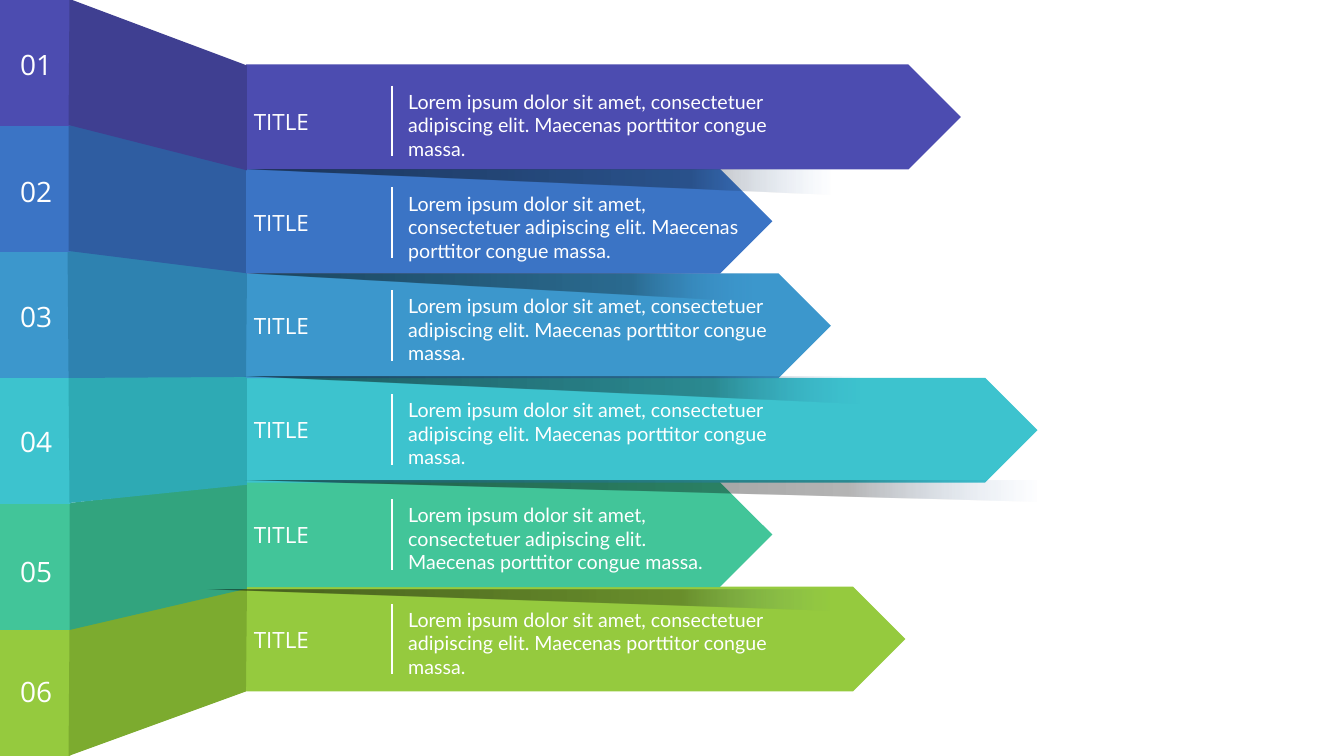
from collections import namedtuple
from dataclasses import dataclass

from lxml import etree
from pptx import Presentation
from pptx.dml.color import RGBColor
from pptx.enum.shapes import MSO_CONNECTOR, MSO_SHAPE
from pptx.enum.text import MSO_AUTO_SIZE
from pptx.oxml import parse_xml
from pptx.oxml.ns import qn
from pptx.util import Inches, Pt

RECTANGLE = MSO_SHAPE.RECTANGLE
PENTAGON = MSO_SHAPE.PENTAGON
RIGHT_TRIANGLE = MSO_SHAPE.RIGHT_TRIANGLE
STRAIGHT = MSO_CONNECTOR.STRAIGHT
GROW = MSO_AUTO_SIZE.SHAPE_TO_FIT_TEXT
DRAWING_NS = "http://schemas.openxmlformats.org/drawingml/2006/main"

BODY = ("Lorem ipsum dolor sit amet, consectetuer adipiscing elit. "
        "Maecenas porttitor congue massa.")

Step = namedtuple("Step", "number color fold_color arrow_width body_width "
                          "number_top title_top divider_top fold shadow")

STEPS = [
    Step("01", "4C4CB0", "3F3F91", 7.09, 4.08, 0.42, 1.02, 0.85,
         [(0.69, -0.01), (2.45, 0.65), (2.45, 1.69), (0.68, 1.24)],
         (2.44, 1.68, 5.8, 0.25)),
    Step("02", "3B74C5", "2F5DA1", 5.22, 3.51, 1.68, 2.03, 1.86,
         [(0.68, 1.23), (2.44, 1.66), (2.44, 2.71), (0.68, 2.49)],
         (2.44, 2.72, 5.02, 0.27)),
    Step("03", "3C97CC", "2E82B0", 5.8, 4.08, 2.92, 3.05, 2.88,
         [(0.67, 2.48), (2.45, 2.68), (2.44, 3.74), (0.68, 3.75)],
         (2.42, 3.74, 6.11, 0.26)),
    Step("04", "3DC3CE", "2EAAB4", 7.85, 4.08, 4.16, 4.08, 3.91,
         [(0.68, 3.73), (2.45, 3.73), (2.45, 4.81), (0.69, 4.99)],
         (2.42, 4.77, 7.87, 0.21)),
    Step("05", "42C599", "32A47E", 5.22, 3.19, 5.45, 5.12, 4.95,
         [(0.69, 4.99), (2.45, 4.79), (2.45, 5.84), (0.69, 6.25)],
         (2.05, 5.85, 6.19, 0.21)),
    Step("06", "95CA3E", "7CAB2F", 6.54, 4.08, 6.64, 6.16, 5.99,
         [(0.69, 6.24), (2.45, 5.83), (2.44, 6.86), (0.68, 7.5)],
         None),
]


@dataclass(frozen=True)
class Theme:
    text: str = "FFFFFF"
    heading_font: str = "Open Sans"
    body_font: str = "Lato"
    number_size: int = 20
    title_size: int = 16
    body_size: int = 14
    divider_width: float = 1.5
    shadow_stops: tuple = ((1, "000000", 54), (76, "000000", 29), (100, "3B74C5", 0))


THEME = Theme()
TAB_WIDTH, TAB_HEIGHT = 0.7, 1.25
ARROW_LEFT, ARROW_TOP, ARROW_HEIGHT, ARROW_PITCH = 2.44, 0.64, 1.04, 1.036
DIVIDER_LEFT, DIVIDER_HEIGHT = 3.89, 0.7


def paint(shape, color):
    shape.shadow.inherit = False
    shape.fill.solid()
    shape.fill.fore_color.rgb = RGBColor.from_string(color)
    shape.line.fill.background()


def add_block(shapes, preset, box, color):
    block = shapes.add_shape(preset, *map(Inches, box))
    paint(block, color)
    return block


def add_fold(shapes, corners, color):
    points = [(Inches(x), Inches(y)) for x, y in corners]
    builder = shapes.build_freeform(*points[0])
    builder.add_line_segments(points[1:], close=True)
    paint(builder.convert_to_shape(), color)


def add_cast_shadow(shapes, box):
    properties = add_block(shapes, RIGHT_TRIANGLE, box, "000000")._element.spPr
    frame = properties.find(qn("a:xfrm"))
    frame.set("flipH", "1")
    frame.set("flipV", "1")
    stops = "".join(
        f'<a:gs pos="{position * 1000}"><a:srgbClr val="{color}">'
        f'<a:alpha val="{opacity * 1000}"/></a:srgbClr></a:gs>'
        for position, color, opacity in THEME.shadow_stops)
    gradient = parse_xml(
        f'<a:gradFill xmlns:a="{DRAWING_NS}" rotWithShape="1"><a:gsLst>{stops}</a:gsLst>'
        '<a:lin ang="10800000" scaled="0"/></a:gradFill>')
    properties.replace(properties.find(qn("a:solidFill")), gradient)


def add_text(shapes, box, words, font, size):
    frame = shapes.add_textbox(*map(Inches, box)).text_frame
    frame.word_wrap = True
    frame.auto_size = GROW
    run = frame.paragraphs[0].add_run()
    run.text = words
    run.font.name = font
    run.font.size = Pt(size)
    run.font.color.rgb = RGBColor.from_string(THEME.text)


def add_divider(shapes, top):
    divider = shapes.add_connector(STRAIGHT, Inches(DIVIDER_LEFT), Inches(top),
                                   Inches(DIVIDER_LEFT), Inches(top + DIVIDER_HEIGHT))
    divider.line.color.rgb = RGBColor.from_string(THEME.text)
    divider.line.width = Pt(THEME.divider_width)
    etree.SubElement(divider._element.spPr, qn("a:effectLst"))


def add_step(slide, index, step):
    shapes = slide.shapes.add_group_shape().shapes
    arrow_top = ARROW_TOP + index * ARROW_PITCH
    add_block(shapes, RECTANGLE, (0, index * TAB_HEIGHT, TAB_WIDTH, TAB_HEIGHT), step.color)
    add_block(shapes, PENTAGON, (ARROW_LEFT, arrow_top, step.arrow_width, ARROW_HEIGHT),
              step.color)
    add_fold(shapes, step.fold, step.fold_color)
    if step.shadow:
        add_cast_shadow(shapes, step.shadow)
    add_text(shapes, (0.1, step.number_top, 0.58, 0.44), step.number,
             THEME.heading_font, THEME.number_size)
    add_text(shapes, (2.42, step.title_top, 1.74, 0.37), "TITLE",
             THEME.heading_font, THEME.title_size)
    add_divider(shapes, step.divider_top)
    add_text(shapes, (3.95, step.divider_top - 0.01, step.body_width, 0.81), BODY,
             THEME.body_font, THEME.body_size)


def main():
    deck = Presentation()
    deck.slide_width, deck.slide_height = Inches(13.33), Inches(7.5)
    slide = deck.slides.add_slide(deck.slide_layouts[6])
    for index, step in reversed(list(enumerate(STEPS))):
        add_step(slide, index, step)
    deck.save("out.pptx")


if __name__ == "__main__":
    main()
